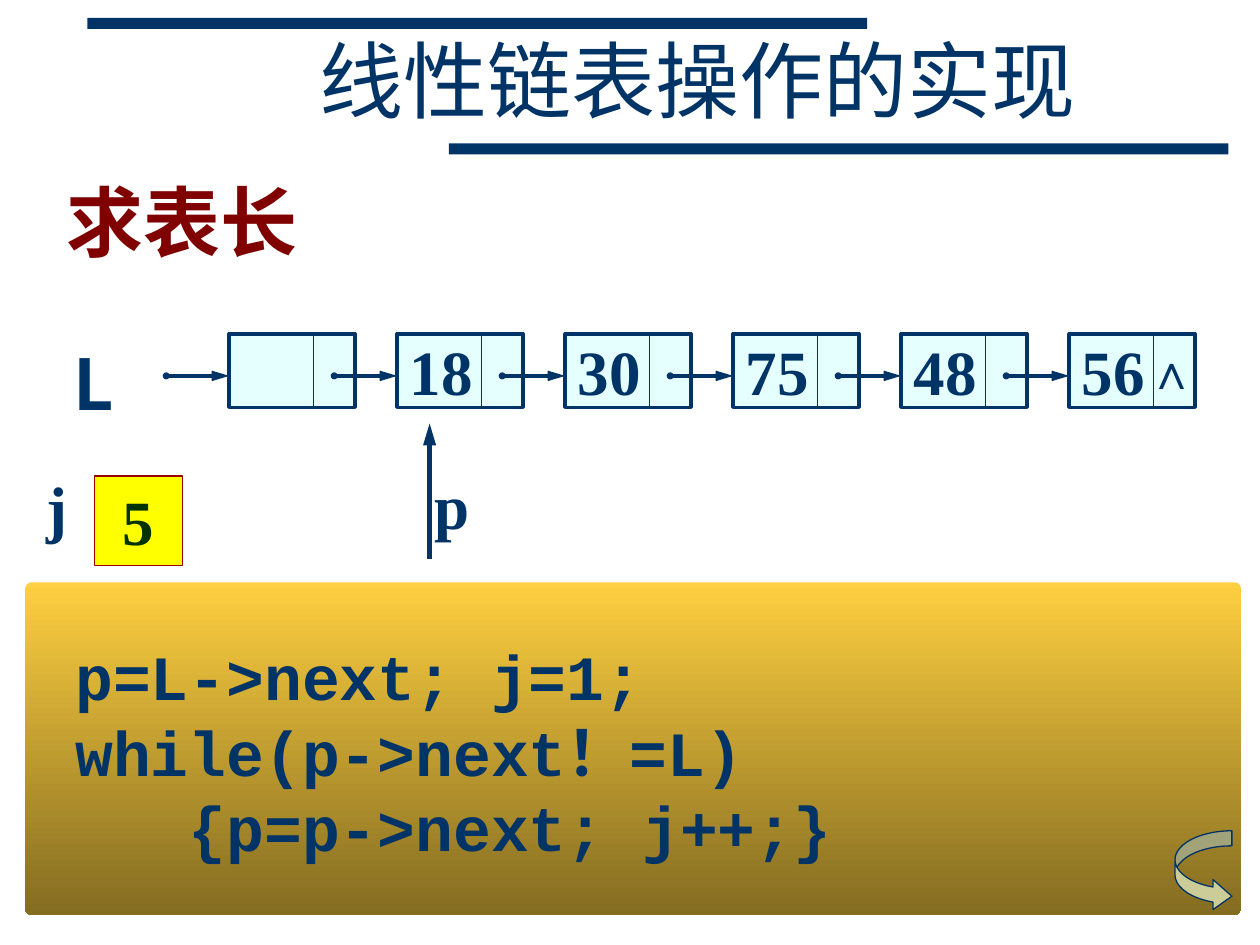
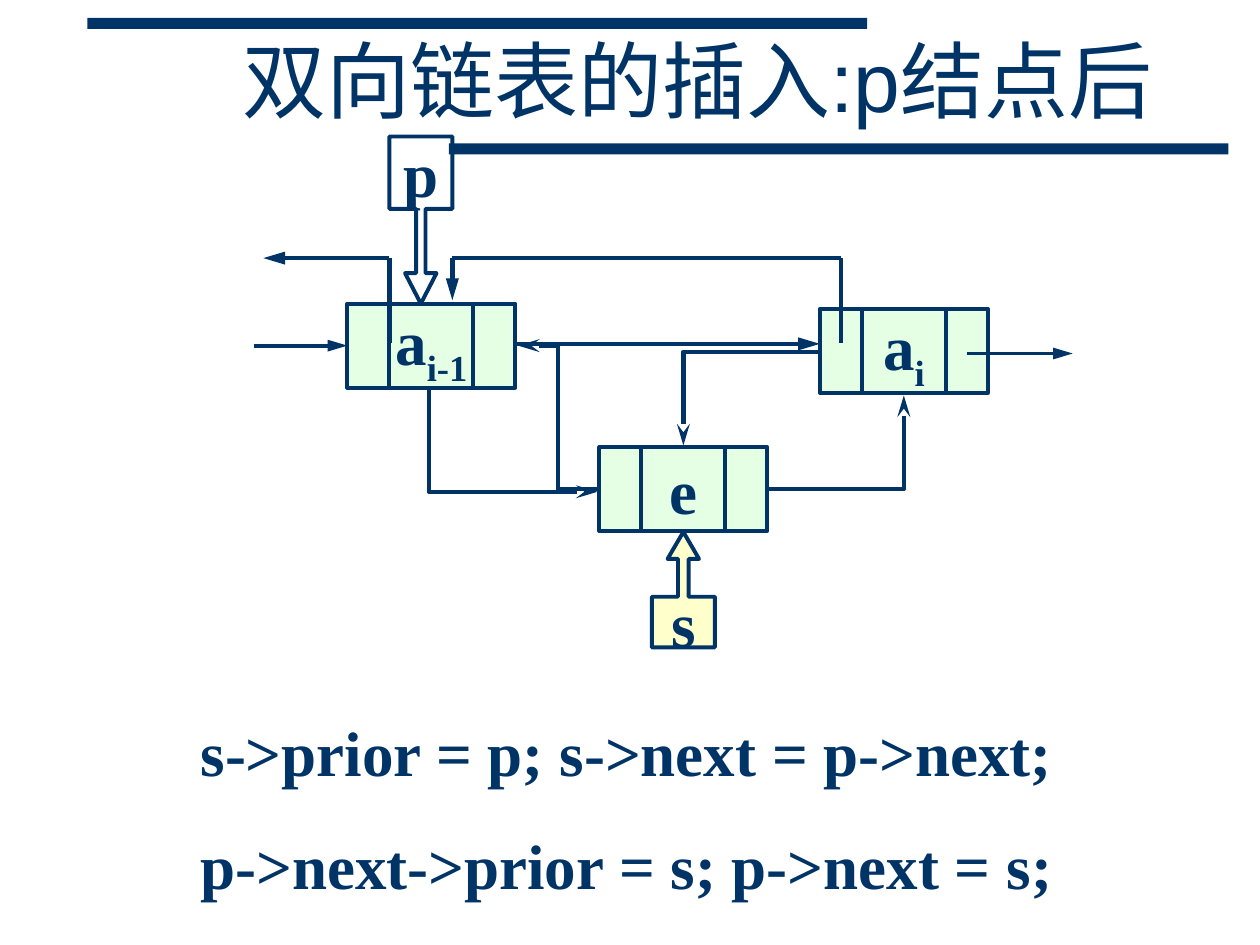
from math import cos, radians, sin

from lxml.etree import SubElement
from pptx import Presentation
from pptx.dml.color import RGBColor
from pptx.enum.shapes import MSO_CONNECTOR, MSO_SHAPE
from pptx.enum.text import MSO_ANCHOR, PP_ALIGN
from pptx.oxml.ns import qn
from pptx.util import Pt

NAVY = RGBColor(0x00, 0x33, 0x66)
MAROON = RGBColor(0x80, 0x00, 0x00)
RED = RGBColor(0x99, 0x00, 0x00)
YELLOW = RGBColor(0xFF, 0xFF, 0x00)
DARK_GREEN = RGBColor(0x00, 0x33, 0x00)
AQUA = RGBColor(0xCC, 0xFF, 0xFF)
MINT = RGBColor(0xCC, 0xFF, 0xCC)
CREAM = RGBColor(0xFF, 0xFF, 0x99)
KHAKI = RGBColor(0xCC, 0xCC, 0x99)
GOLD = RGBColor(0xFE, 0xCF, 0x40)
BRONZE = RGBColor(0x84, 0x6C, 0x21)

SERIF = "Times New Roman"
SANS = "Arial"
MONO = "Courier New"
CJK = "Noto Sans CJK JP"
CJK_SC = "Noto Sans CJK SC"

SLIDE_WIDTH, SLIDE_HEIGHT = 720, 540


def write(frame, lines, size=36, font=SERIF, color=NAVY, bold=True,
          align=PP_ALIGN.LEFT, anchor=MSO_ANCHOR.TOP, spacing=None, wrap=True):
    frame.word_wrap = wrap
    frame.vertical_anchor = anchor
    for index, line in enumerate(lines):
        paragraph = frame.add_paragraph() if index else frame.paragraphs[0]
        paragraph.alignment = align
        if spacing:
            paragraph.line_spacing = spacing
        for position, part in enumerate(line if isinstance(line, tuple) else (line,)):
            run = paragraph.add_run()
            run.text = part
            run.font.size = Pt(size)
            run.font.name = font
            run.font.bold = bold
            run.font.color.rgb = color
            properties = run.font._element
            SubElement(properties, qn("a:ea")).set("typeface", CJK)
            if position:
                properties.set("baseline", "-25000")


def label(slide, box, lines, **style):
    area = slide.shapes.add_textbox(*map(Pt, box))
    write(area.text_frame, lines, **style)


def block(slide, kind, box, fill=None, line=None, weight=0.75, opacity=100, adjust=()):
    shape = slide.shapes.add_shape(kind, *map(Pt, box))
    shape.shadow.inherit = False
    for index, value in enumerate(adjust):
        shape.adjustments[index] = value
    if fill is None:
        shape.fill.background()
    else:
        shape.fill.solid()
        shape.fill.fore_color.rgb = fill
        if opacity < 100:
            color = shape._element.spPr.find(qn("a:solidFill"))[0]
            SubElement(color, qn("a:alpha")).set("val", str(opacity * 1000))
    if line is None:
        shape.line.fill.background()
    else:
        shape.line.color.rgb = line
        shape.line.width = Pt(weight)
    return shape


def connect(slide, begin, end, weight=2.25, head=None, tail=None,
            kind=MSO_CONNECTOR.STRAIGHT):
    link = slide.shapes.add_connector(kind, *map(Pt, (*begin, *end)))
    link.line.color.rgb = NAVY
    link.line.width = Pt(weight)
    outline = link.line._get_or_add_ln()
    for tag, arrow, width, length in (("a:headEnd", head, "sm", "sm"),
                                      ("a:tailEnd", tail, "med", "lg")):
        if arrow:
            mark = SubElement(outline, qn(tag))
            mark.set("type", arrow)
            mark.set("w", width)
            mark.set("len", length)
    SubElement(link._element.spPr, qn("a:effectLst"))
    return link


def elbow(slide, begin, end, turn, preset="bentConnector2"):
    middle_x, middle_y = (begin[0] + end[0]) / 2, (begin[1] + end[1]) / 2
    half_x, half_y = (end[0] - begin[0]) / 2, (end[1] - begin[1]) / 2
    cosine, sine = cos(radians(-turn)), sin(radians(-turn))
    across = half_x * cosine - half_y * sine
    down = half_x * sine + half_y * cosine
    link = connect(slide, (middle_x - across, middle_y - down),
                   (middle_x + across, middle_y + down),
                   2.5, tail="stealth", kind=MSO_CONNECTOR.ELBOW)
    properties = link._element.spPr
    properties.find(qn("a:prstGeom")).set("prst", preset)
    properties.find(qn("a:xfrm")).set("rot", str(turn * 60000))


def route(slide, *points):
    last = len(points) - 2
    for index, (begin, end) in enumerate(zip(points, points[1:])):
        connect(slide, begin, end, 2.5, tail="triangle" if index == last else None)


def header_bands(slide, box):
    left, top, width, height = box
    band_width, band_height = 445.5, 6.25
    for x, y in ((left, top), (left + width - band_width, top + height - band_height)):
        block(slide, MSO_SHAPE.RECTANGLE, (x, y, band_width, band_height), NAVY)


def slide_title(slide, text):
    label(slide, (108, 13.5, 581, 72), [text], size=48, font=SANS, bold=False,
          align=PP_ALIGN.CENTER, anchor=MSO_ANCHOR.MIDDLE, spacing=0.85)


def new_slide(deck):
    slide = deck.slides.add_slide(deck.slide_layouts[6])
    header_bands(slide, (50, 10.25, 652, 78))
    return slide


def linked_list(slide, box, values):
    left, top, pitch, height = box
    node_width, divider, lead = 72, 48, 36
    for index, value in enumerate(values):
        x = left + index * pitch
        node = block(slide, MSO_SHAPE.RECTANGLE, (x, top, node_width, height),
                     AQUA, NAVY, 2, 50)
        if value:
            write(node.text_frame, [value], anchor=MSO_ANCHOR.MIDDLE, wrap=False)
        connect(slide, (x + divider, top), (x + divider, top + height), 0.75)
        connect(slide, (x - lead, top + 24), (x, top + 24), 2,
                head="oval", tail="triangle")
    label(slide, (x + 37.5, top + 0.5, 21, 41), ["∧"], size=28)


def code_panel(slide, box, lines):
    left, top, width, height = box
    panel = block(slide, MSO_SHAPE.ROUNDED_RECTANGLE, box, GOLD, adjust=(0.02,))
    panel.fill.gradient()
    panel.fill.gradient_angle = 270
    for stop, color, position in zip(panel.fill.gradient_stops, (GOLD, BRONZE), (0, 1)):
        stop.color.rgb = color
        stop.position = position
    label(slide, (left, top + 28, width - 38, height - 52), lines, font=MONO)
    block(slide, MSO_SHAPE.CURVED_RIGHT_ARROW,
          (left + width - 38, top + height - 48, 32.5, 46),
          KHAKI, NAVY, adjust=(0.265, 0.53, 0.333))


def counter(slide, box, name, value):
    left, top, width, height = box
    label(slide, (left, top, 27, height), [name], wrap=False)
    cell = block(slide, MSO_SHAPE.RECTANGLE,
                 (left + width - 50.5, top + 8, 50.5, 51), YELLOW, RED)
    write(cell.text_frame, [value], color=DARK_GREEN, align=PP_ALIGN.CENTER)


def list_length_slide(deck):
    slide = new_slide(deck)
    code_panel(slide, (14.4, 332.75, 695, 190), [
        " p=L->next; j=1;",
        " while(p->next！=L)",
        "    {p=p->next; j++;}",
    ])
    label(slide, (31, 94, 581, 72), ["求表长"], size=44, font=SANS, color=MAROON,
          anchor=MSO_ANCHOR.MIDDLE, spacing=0.85)
    linked_list(slide, (131, 190.8, 96, 42), ["", "18", "30", "75", "48", "56"])
    connect(slide, (245.5, 319.5), (245.5, 242), 2.5, tail="triangle")
    label(slide, (241, 263, 35, 50), ["p"], wrap=False)
    counter(slide, (19.5, 264, 85, 50), "j", "5")
    label(slide, (35, 191, 55, 55), ["L"], size=40, font=CJK_SC)
    slide_title(slide, "线性链表操作的实现")


def double_node(slide, box, name):
    left, top, width, height = box
    node = block(slide, MSO_SHAPE.RECTANGLE, box, MINT, NAVY, 2.25, 50)
    write(node.text_frame, [name], align=PP_ALIGN.CENTER,
          anchor=MSO_ANCHOR.MIDDLE, wrap=False)
    for share in (0.25, 0.75):
        x = left + width * share
        connect(slide, (x, top), (x, top + height))


def pointer(slide, kind, box, name, adjust, fill=None):
    callout = block(slide, kind, box, fill, NAVY, 2.25, 50, adjust)
    write(callout.text_frame, [name], align=PP_ALIGN.CENTER,
          anchor=MSO_ANCHOR.MIDDLE, wrap=False)


def insertion_diagram(slide, box):
    left, top, width, height = box

    def at(x, y):
        return left + x, top + y

    double_node(slide, (*at(53.5, 95.5), 96, 48), ("a", "i-1"))
    connect(slide, at(0, 119.5), at(53.5, 119.5), tail="triangle")
    double_node(slide, (*at(323.5, 98.5), 96, 48), ("a", "i"))
    connect(slide, at(149.5, 118.5), at(323.5, 118.5), 2.5, tail="triangle")
    connect(slide, at(407.5, 124), at(width, 124), tail="triangle")
    route(slide, at(335.5, 118), at(335.5, 69.5), at(113.5, 69.5), at(113.5, 93.5))
    double_node(slide, (*at(197.5, 177.5), 96, 48), ("e",))
    pointer(slide, MSO_SHAPE.DOWN_ARROW_CALLOUT, (*at(77.5, 0), 36, 95.5),
            "p", (0.15, 0.25, 0.484, 0.433))
    pointer(slide, MSO_SHAPE.UP_ARROW_CALLOUT, (*at(227.5, height - 66), 36, 66),
            "s", (0.167, 0.25, 0.429, 0.439), CREAM)
    elbow(slide, at(294.5, 201.5), at(371.5, 148), 0)
    elbow(slide, at(100, 143.5), at(196.5, 203), 270)
    elbow(slide, at(322.5, 123), at(245.5, 176.5), 180)
    elbow(slide, at(196.5, 201.5), at(151, 119.5), 180, "bentConnector3")
    route(slide, at(77.5, 118), at(77.5, 69.5), at(5.5, 69.5))


def insertion_slide(deck):
    slide = new_slide(deck)
    slide_title(slide, "双向链表的插入:p结点后")
    insertion_diagram(slide, (145, 78, 468, 292))
    label(slide, (107.5, 382.5, 538, 137), [
        "s->prior = p; s->next = p->next;",
        "p->next->prior = s; p->next = s;",
    ], spacing=1.5)


def main():
    deck = Presentation()
    deck.slide_width, deck.slide_height = Pt(SLIDE_WIDTH), Pt(SLIDE_HEIGHT)
    list_length_slide(deck)
    insertion_slide(deck)
    deck.save("out.pptx")


if __name__ == "__main__":
    main()
